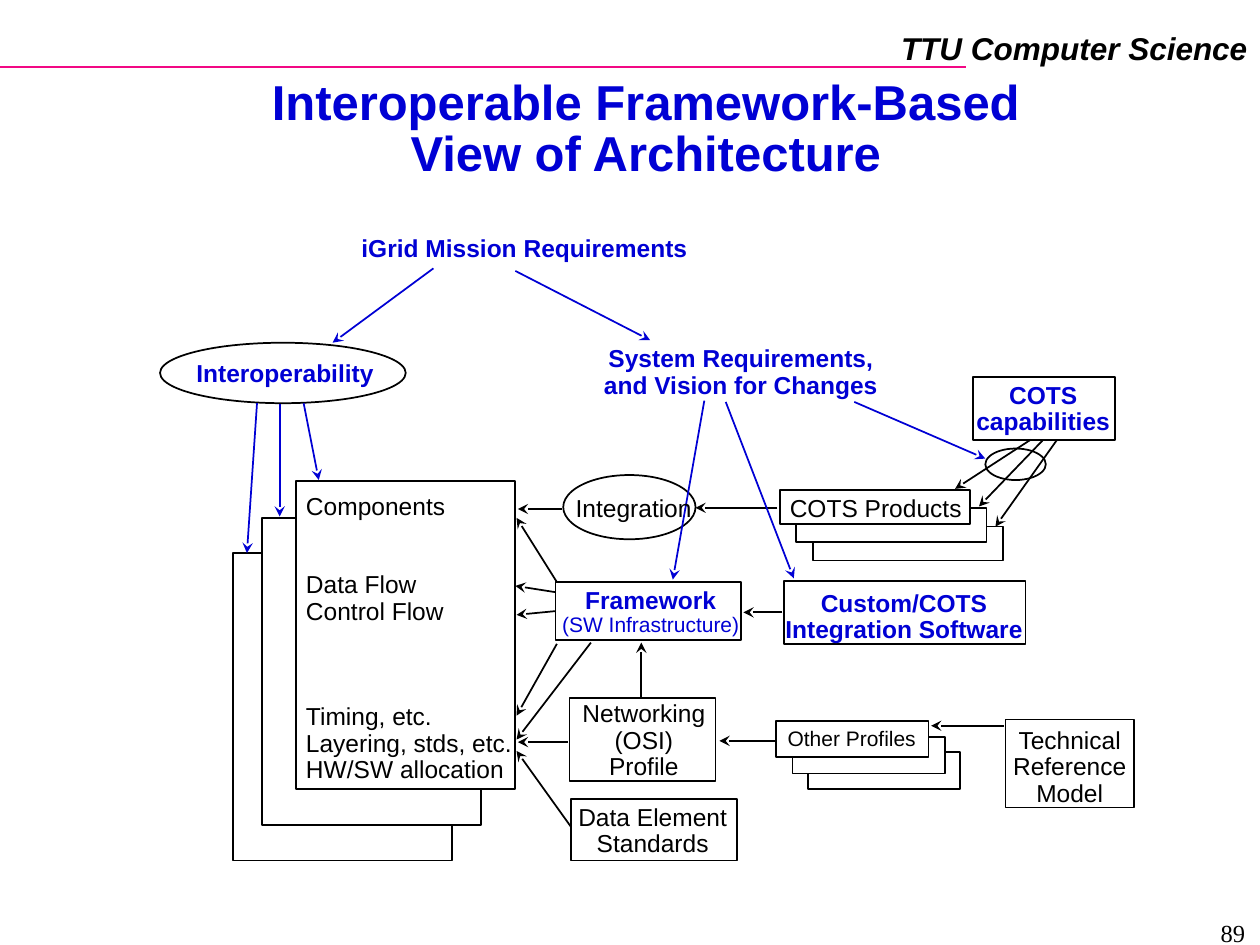
import pptx
import pptx.util
import pptx.dml.color
import pptx.enum.shapes
import pptx.enum.text
import pptx.oxml.ns
import lxml.etree

Inches, Pt = pptx.util.Inches, pptx.util.Pt
ALIGN = pptx.enum.text.PP_ALIGN
SHAPES = pptx.enum.shapes.MSO_SHAPE
COLORS = {"black": "000000", "blue": "0000D4", "pink": "F20884", "white": "FFFFFF"}

TITLE = "Interoperable Framework-Based\vView of Architecture"

# Stacks of cards, back to front: lefts and tops of each card, then the shared size
STACKS = [
    ([(1.85, 4.39), (2.08, 4.11), (2.35, 3.82)], (1.74, 2.44)),  # components
    ([(6.41, 5.97), (6.29, 5.85), (6.16, 5.72)], (1.21, 0.29)),  # other profiles
    ([(6.45, 4.18), (6.32, 4.03), (6.19, 3.89)], (1.51, 0.27)),  # COTS products
]

# Unfilled frames: left, top, width, height
BOXES = [
    (4.52, 5.54, 1.16, 0.66),  # networking profile
    (4.53, 6.34, 1.32, 0.49),  # data element standards
    (7.98, 5.71, 1.02, 0.7),   # technical reference model
    (7.72, 2.99, 1.13, 0.5),   # COTS capabilities
    (6.22, 4.61, 1.92, 0.5),   # integration software
    (4.41, 4.62, 1.47, 0.46),  # framework
]
ELLIPSES = [
    (4.47, 3.77, 1.05, 0.51),  # integration
    (7.82, 3.56, 0.48, 0.25),  # ring around the COTS arrows
    (1.27, 2.72, 1.95, 0.48),  # interoperability
]

# Arrows: start x, start y, tip x, tip y
ARROWS = {
    "black": [
        # into the components
        (4.46, 4.04, 4.11, 4.04), (4.42, 4.62, 4.1, 4.11),
        (4.41, 4.7, 4.09, 4.65), (4.41, 4.85, 4.1, 4.88),
        (4.42, 5.11, 4.1, 5.68), (4.69, 5.1, 4.1, 5.87),
        (4.51, 5.89, 4.11, 5.89), (4.53, 6.56, 4.1, 5.96),
        # profiles and framework
        (6.15, 5.88, 5.71, 5.88), (7.97, 5.76, 7.39, 5.76),
        (5.09, 5.53, 5.09, 5.1), (6.21, 4.86, 5.9, 4.86),
        # COTS capabilities to products to integration
        (8.18, 3.49, 7.58, 3.88), (8.28, 3.49, 7.77, 4.02),
        (8.39, 3.49, 7.9, 4.18), (6.17, 4.03, 5.52, 4.03),
    ],
    "blue": [
        # from the mission requirements
        (4.09, 2.15, 5.16, 2.7), (3.44, 2.13, 2.64, 2.72),
        # from interoperability
        (2.22, 3.21, 2.22, 4.1), (2.41, 3.2, 2.53, 3.81), (2.04, 3.2, 1.96, 4.39),
        # from the system requirements
        (6.78, 3.19, 7.82, 3.64), (5.59, 3.18, 5.34, 4.6), (5.76, 3.19, 6.3, 4.59),
    ],
}

# Labels: left, top, width, height, color, size, alignment, lines
LABELS = [
    (4.49, 6.34, 1.38, 0.52, "black", 14, ALIGN.CENTER, ["Data Element", "Standards"]),
    (7.94, 5.73, 1.1, 0.73, "black", 14, ALIGN.CENTER, ["Technical", "Reference", "Model"]),
    (4.52, 5.52, 1.18, 0.73, "black", 14, ALIGN.CENTER, ["Networking", "(OSI)", "Profile"]),
    (6.15, 5.73, 1.22, 0.28, "black", 12, ALIGN.CENTER, ["Other Profiles"]),
    (4.47, 3.89, 1.12, 0.31, "black", 14, ALIGN.LEFT, ["Integration"]),
    (6.17, 3.89, 1.57, 0.31, "black", 14, ALIGN.LEFT, ["COTS Products"]),
    (7.65, 2.99, 1.26, 0.52, "blue", 14, ALIGN.CENTER, ["COTS", "capabilities"]),
    (4.69, 2.7, 2.38, 0.52, "blue", 14, ALIGN.CENTER,
     ["System Requirements,", "and Vision for Changes"]),
    (4.36, 4.62, 1.61, 0.49, "blue", 14, ALIGN.CENTER, ["Framework", "(SW Infrastructure)"]),
    (6.13, 4.64, 2.09, 0.52, "blue", 14, ALIGN.CENTER, ["Custom/COTS", "Integration Software"]),
    (1.46, 2.82, 1.61, 0.31, "blue", 14, ALIGN.LEFT, ["Interoperability"]),
    (2.77, 1.83, 2.79, 0.31, "blue", 14, ALIGN.LEFT, ["iGrid Mission Requirements"]),
]
COMPONENTS = ["Components", "Data Flow", "Control Flow", "Timing, etc.",
              "Layering, stds, etc.", "HW/SW allocation"]
COMPONENT_GAPS = {1: 30, 3: 45}  # points before the paragraph

presentation = pptx.Presentation()
presentation.slide_width, presentation.slide_height = Inches(10), Inches(7.5)
slide = presentation.slides.add_slide(presentation.slide_layouts[5])


def color(name):
    return pptx.dml.color.RGBColor.from_string(COLORS[name])


def style_font(font, size, color_name, bold=False, name="Arial"):
    font.name, font.size, font.bold = name, Pt(size), bold
    font.color.rgb = color(color_name)


def add_outline(kind, place, fill=None):
    shape = slide.shapes.add_shape(kind, *map(Inches, place))
    shape.shadow.inherit = False
    if fill:
        shape.fill.solid()
        shape.fill.fore_color.rgb = color(fill)
    else:
        shape.fill.background()
    shape.line.color.rgb = color("black")
    shape.line.width = Pt(1)


def add_line(points, color_name, arrow=True):
    line = slide.shapes.add_connector(
        pptx.enum.shapes.MSO_CONNECTOR.STRAIGHT, *map(Inches, points))
    line.line.color.rgb = color(color_name)
    line.line.width = Pt(1)
    if arrow:
        lxml.etree.SubElement(line.line._get_or_add_ln(),
                              pptx.oxml.ns.qn("a:tailEnd"), type="stealth")
    lxml.etree.SubElement(line._element.spPr, pptx.oxml.ns.qn("a:effectLst"))


def add_text(place, lines, size, color_name, align, bold=False,
             wrap=False, spacing=0.9, name="Arial"):
    frame = slide.shapes.add_textbox(*map(Inches, place)).text_frame
    frame.word_wrap = wrap
    frame.text = "\n".join(lines)
    for paragraph in frame.paragraphs:
        paragraph.alignment = align
        paragraph.line_spacing = spacing
        style_font(paragraph.runs[0].font, size, color_name, bold, name)
    return frame.paragraphs


# Header
add_line((0, 0.53, 7.67, 0.53), "pink", arrow=False)
header = add_text((7.05, 0.18, 2.95, 0.4), ["TTU Computer Science"], 18, "black",
                  ALIGN.RIGHT, bold=True, spacing=1.0)
header[0].runs[0].font.italic = True

# Title
title = slide.shapes.title
title.left, title.top, title.width, title.height = map(Inches, (2.08, 0.6, 6.09, 0.87))
frame = title.text_frame
frame.text = TITLE
frame.word_wrap = True
frame.auto_size = pptx.enum.text.MSO_AUTO_SIZE.NONE
frame.vertical_anchor = pptx.enum.text.MSO_ANCHOR.MIDDLE
frame.margin_left = frame.margin_right = Inches(0.07)
frame.margin_top = frame.margin_bottom = Inches(0.03)
frame.paragraphs[0].alignment = ALIGN.CENTER
frame.paragraphs[0].line_spacing = 0.87
for run in frame.paragraphs[0].runs:
    style_font(run.font, 28, "blue", True)

# Boxes and ellipses
for corners, size in STACKS:
    for corner in corners:
        add_outline(SHAPES.RECTANGLE, corner + size, "white")
for place in BOXES:
    add_outline(SHAPES.RECTANGLE, place)
for place in ELLIPSES:
    add_outline(SHAPES.OVAL, place)

# Arrows
for color_name, arrows in ARROWS.items():
    for points in arrows:
        add_line(points, color_name)

# Labels: blue ones are bold, a bracketed second line under the framework is not
for *place, color_name, size, align, lines in LABELS:
    for paragraph in add_text(place, lines, size, color_name, align, color_name == "blue"):
        if paragraph.text.startswith("(SW"):
            style_font(paragraph.runs[0].font, 12, color_name)

components = add_text((2.33, 3.87, 1.92, 2.41), COMPONENTS, 14, "black", ALIGN.LEFT, wrap=True)
for index, gap in COMPONENT_GAPS.items():
    components[index].space_before = Pt(gap)

# Slide number
add_text((7.65, 7.24, 2.33, 0.22), ["89"], 14, "black", ALIGN.RIGHT,
         wrap=True, spacing=1.0, name="Times New Roman")

presentation.save("out.pptx")
